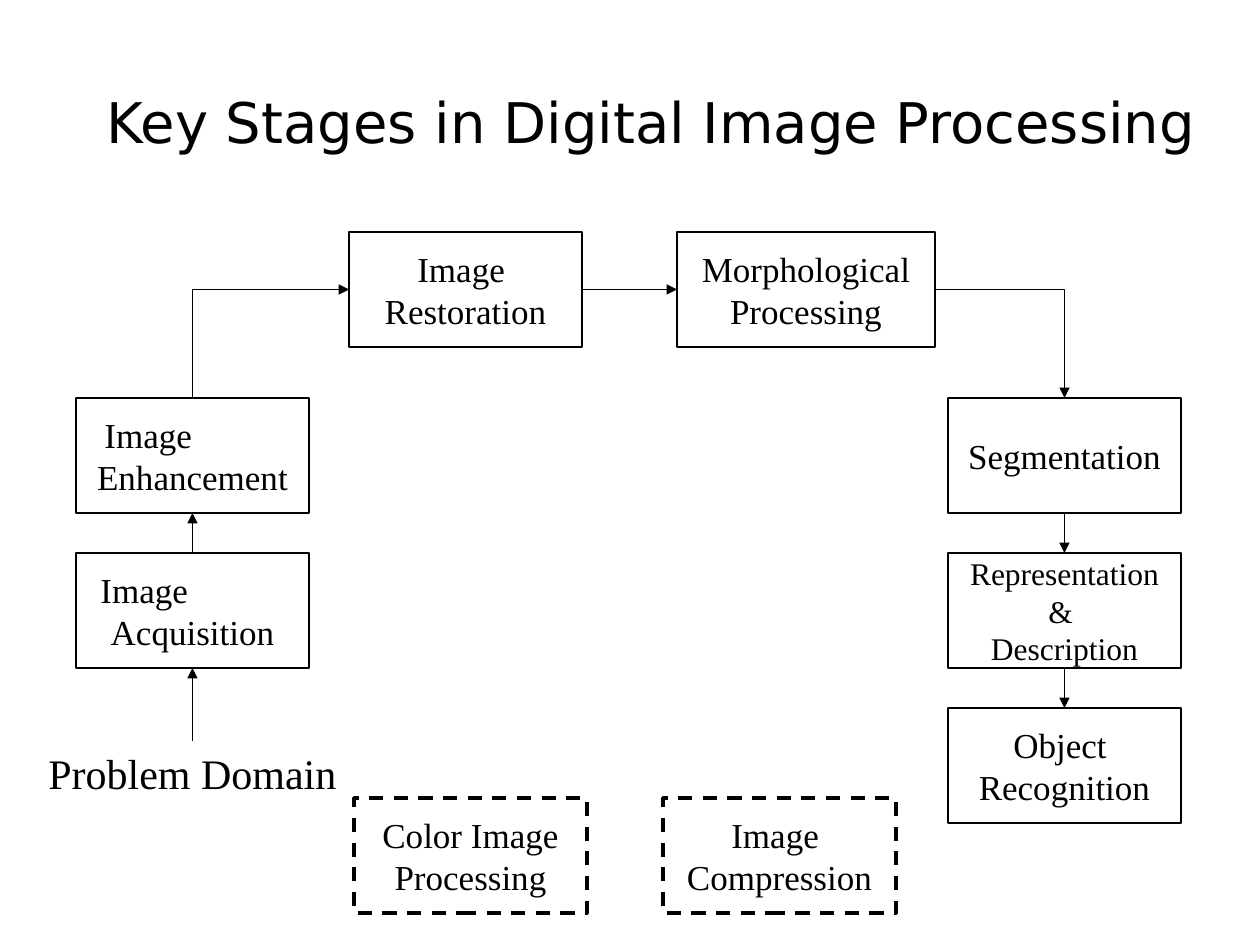
import pptx
import pptx.util
import pptx.dml.color
import pptx.enum.dml
import pptx.enum.shapes
import pptx.enum.text
import pptx.oxml.ns
from lxml import etree

BLACK = pptx.dml.color.RGBColor(0x00, 0x00, 0x00)
WHITE = pptx.dml.color.RGBColor(0xFF, 0xFF, 0xFF)
BODY_FONT = "Times New Roman"
TITLE_FONT = "DejaVu Sans"
PX_PER_INCH = 126
BOX_W, BOX_H = 233, 115
TOP, LEFT, BOTTOM, RIGHT = range(4)  # connection sites of a rectangle
ALIGN = pptx.enum.text.PP_ALIGN
ANCHOR = pptx.enum.text.MSO_ANCHOR
AUTO_SIZE = pptx.enum.text.MSO_AUTO_SIZE
CONNECTOR = pptx.enum.shapes.MSO_CONNECTOR
qn = pptx.oxml.ns.qn


def px(n):
    return pptx.util.Emu(round(n * pptx.util.Inches(1) / PX_PER_INCH))


def format_paragraph(p, size, font=BODY_FONT, align=ALIGN.CENTER):
    p.alignment = align
    p.font.size = pptx.util.Pt(size)
    p.font.name = font
    p.font.color.rgb = BLACK


def add_title(slide, x, y, w, h, text):
    sp = slide.shapes.title
    sp.left, sp.top, sp.width, sp.height = map(px, (x, y, w, h))
    tf = sp.text_frame
    tf.text = text
    tf.word_wrap = True
    tf.auto_size = AUTO_SIZE.NONE
    tf.vertical_anchor = ANCHOR.MIDDLE
    p = tf.paragraphs[0]
    format_paragraph(p, 32, TITLE_FONT, ALIGN.LEFT)
    p.line_spacing = 0.9


def add_stage(slide, x, y, text, w=BOX_W, size=20, dashed=False, first_indent=None):
    """Add a stage box; first_indent left-aligns its first line at that offset."""
    sp = slide.shapes.add_shape(pptx.enum.shapes.MSO_SHAPE.RECTANGLE,
                                px(x), px(y), px(w), px(BOX_H))
    sp.shadow.inherit = False
    sp.fill.solid()
    sp.fill.fore_color.rgb = WHITE
    sp.line.color.rgb = BLACK
    sp.line.width = pptx.util.Pt(2 if dashed else 1)
    if dashed:
        sp.line.dash_style = pptx.enum.dml.MSO_LINE.DASH
    tf = sp.text_frame
    tf.text = text
    tf.word_wrap = True
    tf.vertical_anchor = ANCHOR.MIDDLE
    for p in tf.paragraphs:
        format_paragraph(p, size)
    if first_indent is not None:
        p = tf.paragraphs[0]
        p.alignment = ALIGN.LEFT
        pPr = p._p.get_or_add_pPr()
        pPr.set("marL", str(px(first_indent)))
        pPr.set("indent", "0")
    return sp


def add_label(slide, x, y, w, h, text):
    sp = slide.shapes.add_textbox(px(x), px(y), px(w), px(h))
    tf = sp.text_frame
    tf.text = text
    tf.word_wrap = False
    tf.auto_size = AUTO_SIZE.SHAPE_TO_FIT_TEXT
    format_paragraph(tf.paragraphs[0], 24)
    return sp


def add_arrow(slide, start, start_site, end, end_site):
    """Join two shapes; sites on different axes give a single-bend elbow."""
    bent = start_site % 2 != end_site % 2
    kind = CONNECTOR.ELBOW if bent else CONNECTOR.STRAIGHT
    cx = slide.shapes.add_connector(kind, 0, 0, 0, 0)
    cx.begin_connect(start, start_site)
    cx.end_connect(end, end_site)
    cx.line.color.rgb = BLACK
    cx.line.width = pptx.util.Pt(1)
    spPr = cx._element.spPr
    etree.SubElement(spPr.find(qn("a:ln")), qn("a:tailEnd"), type="triangle")
    etree.SubElement(spPr, qn("a:effectLst"))
    if bent:
        spPr.find(qn("a:prstGeom")).set("prst", "bentConnector2")
        if start_site == TOP:
            turn_upward(cx)


def turn_upward(cx):
    """Rotate an elbow a quarter turn so that it rises, then runs right."""
    x, y, w, h = cx.left, cx.top, cx.width, cx.height
    xfrm = cx._element.spPr.find(qn("a:xfrm"))
    for flip in ("flipH", "flipV"):
        xfrm.attrib.pop(flip, None)
    xfrm.set("rot", str(270 * 60000))
    cx.left, cx.top = x + (w - h) // 2, y + (h - w) // 2
    cx.width, cx.height = h, w


def add_flow(slide, x, y):
    """Place the stages around an arch whose top left corner is x, y."""
    row_1, row_2, row_3 = (y + 166 + 155 * i for i in range(3))
    right = x + 872

    # Left column, top row and right column
    acquisition = add_stage(slide, x, row_2, "Image\nAcquisition", first_indent=12)
    enhancement = add_stage(slide, x, row_1, "Image\nEnhancement", first_indent=16)
    restoration = add_stage(slide, x + 273, y, "Image \nRestoration")
    morphology = add_stage(slide, x + 601, y, "Morphological Processing", w=258)
    segmentation = add_stage(slide, right, row_1, "Segmentation")
    description = add_stage(slide, right, row_2,
                            "Representation & \nDescription", size=18)
    recognition = add_stage(slide, right, row_3, "Object \nRecognition")
    domain = add_label(slide, x - 40, y + 509, 313, 63, "Problem Domain")

    # Arrows in processing order
    for link in (
        (domain, TOP, acquisition, BOTTOM),
        (acquisition, TOP, enhancement, BOTTOM),
        (enhancement, TOP, restoration, LEFT),
        (restoration, RIGHT, morphology, LEFT),
        (morphology, RIGHT, segmentation, TOP),
        (segmentation, BOTTOM, description, TOP),
        (description, BOTTOM, recognition, TOP),
    ):
        add_arrow(slide, *link)


def add_side_stages(slide, x, y):
    for i, text in enumerate(("Color Image Processing", "Image \nCompression")):
        add_stage(slide, x + 309 * i, y, text, dashed=True)


def main():
    prs = pptx.Presentation()
    prs.slide_width, prs.slide_height = px(1260), px(945)
    slide = prs.slides.add_slide(prs.slide_layouts[5])
    slide.background.fill.solid()
    slide.background.fill.fore_color.rgb = WHITE
    add_title(slide, 94, 31, 1166, 189, "Key Stages in Digital Image Processing")
    add_flow(slide, 76, 232)
    add_side_stages(slide, 354, 798)
    prs.save("out.pptx")


if __name__ == "__main__":
    main()
